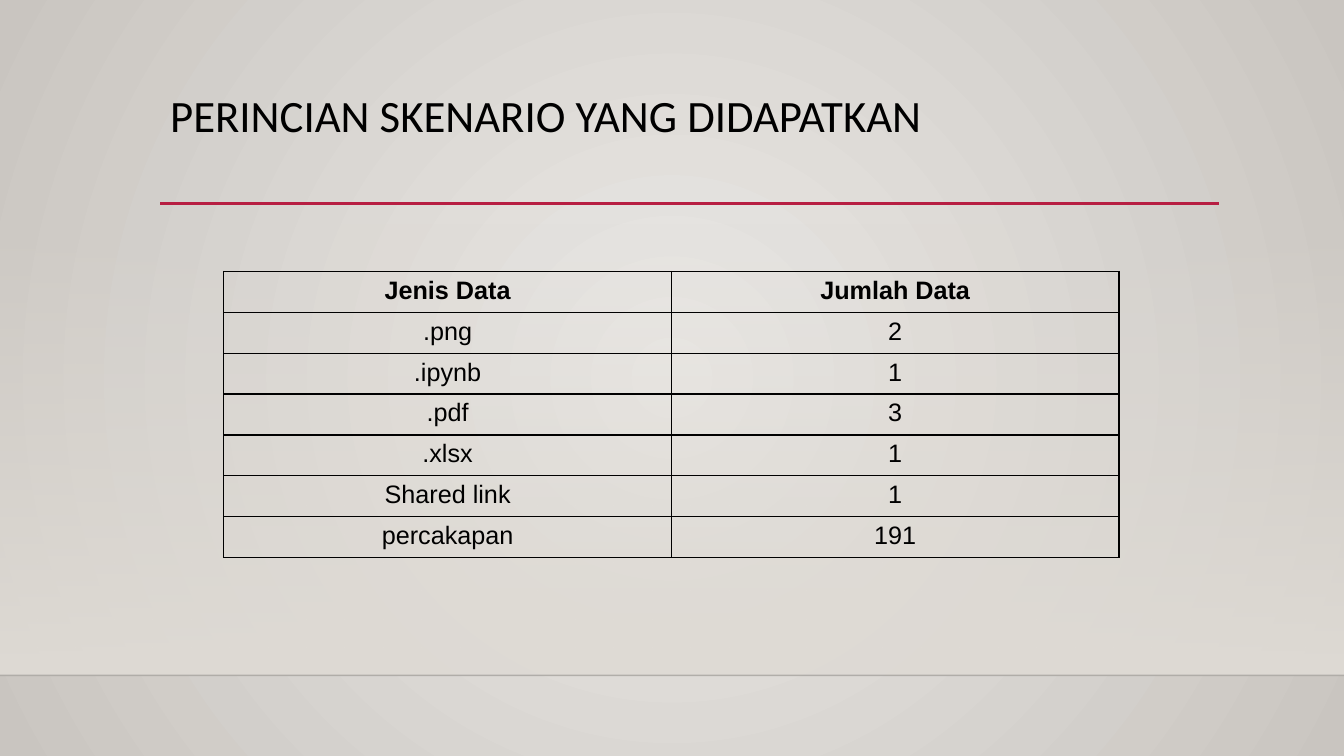
from pptx import Presentation
from pptx import util as u
from pptx.dml.color import RGBColor
from pptx.enum import shapes, text
from pptx.oxml import parse_xml
from pptx.oxml.ns import nsdecls

# Content
TITLE = "PERINCIAN SKENARIO YANG DIDAPATKAN"
ROWS = [
    ("Jenis Data", "Jumlah Data"),
    (".png", "2"),
    (".ipynb", "1"),
    (".pdf", "3"),
    (".xlsx", "1"),
    ("Shared link", "1"),
    ("percakapan", "191"),
]

# Colours
BLACK = RGBColor(0x00, 0x00, 0x00)
RED = RGBColor(0xB7, 0x1E, 0x42)
LIGHT = RGBColor(0xEB, 0xE9, 0xE6)
GREY = RGBColor(0xC9, 0xC5, 0xC0)
SAND = RGBColor(0xDF, 0xDB, 0xD5)

# Measures in centimetres
WIDE, HIGH = 33.87, 19.05
LEFT, RULE_Y, RULE_END = 4.04, 5.13, 30.73
BAND_Y, FLOOR_Y = 5.61, 17.02
TAB_X, TAB_Y, COL_W, ROW_H = 5.64, 6.84, 11.28, 1.03

# Text formats
HEAD = {"name": "Calibri", "size": u.Pt(32), "bold": False}
BODY = {"name": "Arial", "size": u.Pt(18), "bold": False}


def style(font, form):
    for key, val in form.items():
        setattr(font, key, val)
    font.color.rgb = BLACK


def stop(pos, color, alpha=100):
    return (f'<a:gs pos="{pos * 1000}"><a:srgbClr val="{color}">'
            f'<a:alpha val="{alpha * 1000}"/></a:srgbClr></a:gs>')


def blend(stops, way):
    return (f'<a:gradFill {nsdecls("a")} rotWithShape="1">'
            f'<a:gsLst>{"".join(stops)}</a:gsLst>{way}</a:gradFill>')


def rule(x1, y1, x2, y2, color, width, alpha=100):
    line = slide.shapes.add_connector(
        shapes.MSO_CONNECTOR.STRAIGHT, u.Cm(x1), u.Cm(y1), u.Cm(x2), u.Cm(y2))
    line.line.width = u.Pt(width)
    line.line.color.rgb = color
    tint = line.element.xpath(".//a:ln//a:srgbClr")[0]
    tint.append(parse_xml(f'<a:alpha {nsdecls("a")} val="{alpha * 1000}"/>'))
    props = line.element.spPr
    props.append(parse_xml(f'<a:effectLst {nsdecls("a")}/>'))


deck = Presentation()
deck.slide_width, deck.slide_height = u.Cm(WIDE), u.Cm(HIGH)
slide = deck.slides.add_slide(deck.slide_layouts[6])

# Background glow
glow = blend([stop(0, LIGHT), stop(100, GREY)],
             '<a:path path="circle"><a:fillToRect l="50000" t="50000" '
             'r="50000" b="50000"/></a:path>')
slide.element.cSld.insert(0, parse_xml(
    f'<p:bg {nsdecls("p", "a")}><p:bgPr>{glow}<a:effectLst/></p:bgPr></p:bg>'))

# Fading band above the floor line
band = slide.shapes.add_shape(
    shapes.MSO_SHAPE.RECTANGLE, 0, u.Cm(BAND_Y), u.Cm(WIDE), u.Cm(FLOOR_Y - BAND_Y))
band.shadow.inherit = False
band.line.fill.background()
band.fill.solid()
solid = band.element.spPr.find("{*}solidFill")
fade = blend([stop(0, SAND, 0), stop(100, SAND)], '<a:lin ang="5400000" scaled="0"/>')
band.element.spPr.replace(solid, parse_xml(fade))

# Lines
rule(0, FLOOR_Y, WIDE, FLOOR_Y, BLACK, 1, 20)
rule(LEFT, RULE_Y, RULE_END, RULE_Y, RED, 2.5)

# Title
box = slide.shapes.add_textbox(u.Cm(LEFT), u.Cm(2.24), u.Cm(26.67), u.Cm(2.92))
frame = box.text_frame
frame.word_wrap = True
frame.vertical_anchor = text.MSO_ANCHOR.TOP
para = frame.paragraphs[0]
para.text, para.line_spacing = TITLE, 0.9
style(para.runs[0].font, HEAD)

# Table
count = len(ROWS)
table = slide.shapes.add_table(
    count, 2, u.Cm(TAB_X), u.Cm(TAB_Y), u.Cm(2 * COL_W), u.Cm(count * ROW_H)).table
table.first_row = table.horz_banding = False
for col in table.columns:
    col.width = u.Cm(COL_W)
for r, row in enumerate(ROWS):
    table.rows[r].height = u.Cm(ROW_H)
    for c, word in enumerate(row):
        cell = table.cell(r, c)
        para = cell.text_frame.paragraphs[0]
        para.text, para.alignment = word, text.PP_ALIGN.CENTER
        style(para.runs[0].font, {**BODY, "bold": r == 0})
        props = cell._tc.get_or_add_tcPr()
        for side in "LRTB":
            props.append(parse_xml(
                f'<a:ln{side} {nsdecls("a")} w="{u.Pt(1)}"><a:solidFill>'
                f'<a:srgbClr val="{BLACK}"/></a:solidFill></a:ln{side}>'))
        cell.fill.background()

deck.save("out.pptx")
